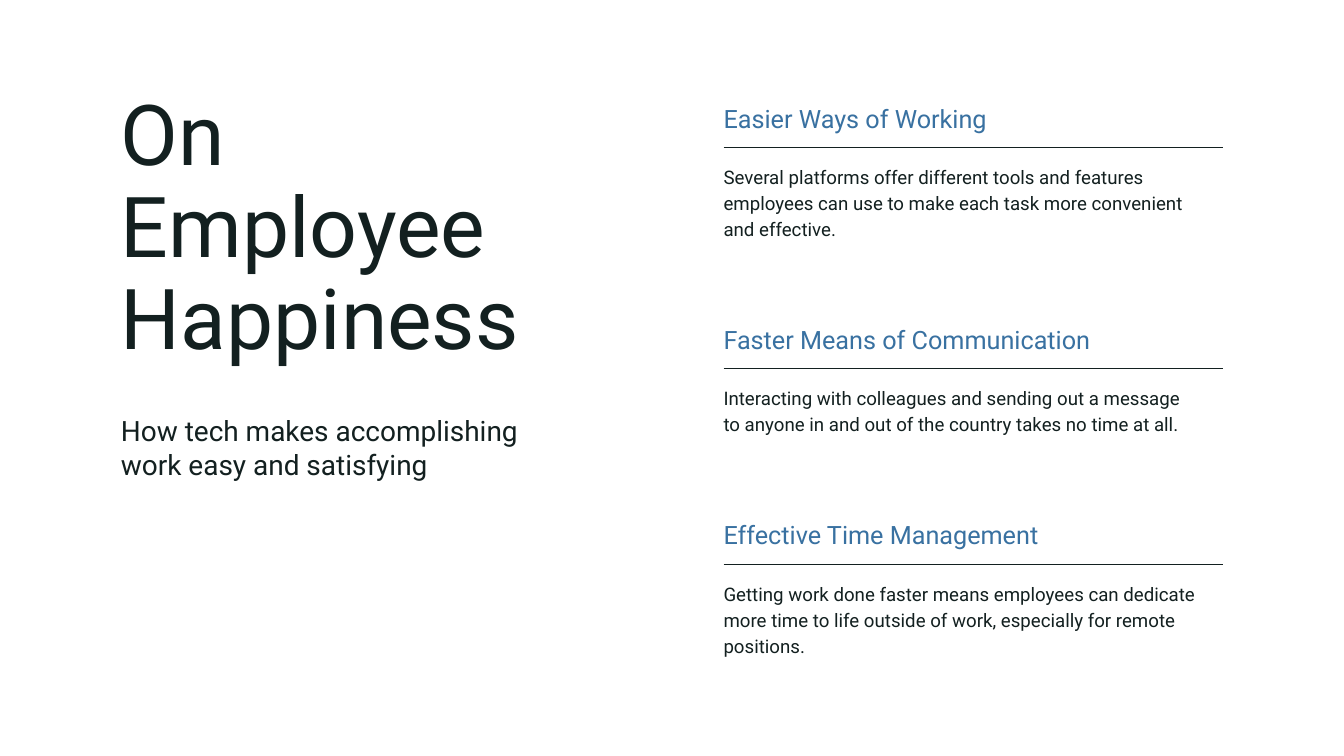
from dataclasses import dataclass

from lxml import etree
from pptx import Presentation
from pptx.dml.color import RGBColor
from pptx.enum import shapes, text
from pptx.oxml import ns
from pptx.util import Pt


@dataclass(frozen=True)
class Theme:
    font: str = "Roboto"
    ink: RGBColor = RGBColor(0x13, 0x20, 0x20)
    accent: RGBColor = RGBColor(0x39, 0x71, 0xA1)
    # type sizes, each with its line pitch
    title: tuple = (90, 99)
    subtitle: tuple = (30, 36)
    heading: tuple = (27, 37.8)
    body: tuple = (20, 28)
    rule_weight: float = 1


THEME = Theme()

TITLE_LEFT, TITLE_WIDTH = 129.6, 471
TOPICS_LEFT, TOPICS_WIDTH = 775.2, 535.5
RULE_OFFSET, BODY_OFFSET = 53.2, 68.8

# top, heading, body paragraphs
TOPICS = [
    (105.1, "Easier Ways of Working", [
        "Several platforms offer different tools and features "
        "employees can use to make each task more convenient",
        "and effective.",
    ]),
    (342, "Faster Means of Communication", [
        "Interacting with colleagues and sending out a message",
        "to anyone in and out of the country takes no time at all.",
    ]),
    (551.4, "Effective Time Management", [
        "Getting work done faster means employees can dedicate more time "
        "to life outside of work, especially for remote positions.",
    ]),
]


def set_values(target, values):
    for attribute, value in values.items():
        setattr(target, attribute, value)


def add_text(parent, box, paragraphs, type_size, color=THEME.ink):
    size, pitch = type_size
    frame = parent.add_textbox(*map(Pt, box)).text_frame
    set_values(frame, {
        "word_wrap": True,
        "auto_size": text.MSO_AUTO_SIZE.SHAPE_TO_FIT_TEXT,
        "margin_left": 0, "margin_top": 0,
        "margin_right": 0, "margin_bottom": 0,
        "text": "\n".join(paragraphs),
    })
    for paragraph in frame.paragraphs:
        paragraph.line_spacing = Pt(pitch)
        for run in paragraph.runs:
            set_values(run.font, {"name": THEME.font, "size": Pt(size)})
            run.font.color.rgb = color


def add_rule(parent, left, top, width):
    rule = parent.add_connector(
        shapes.MSO_CONNECTOR.STRAIGHT,
        Pt(left), Pt(top), Pt(left + width), Pt(top))
    rule.line.width = Pt(THEME.rule_weight)
    rule.line.color.rgb = THEME.ink
    etree.SubElement(rule.element.spPr, ns.qn("a:effectLst"))


def add_title_block(slide):
    block = slide.shapes.add_group_shape().shapes
    add_text(block, (TITLE_LEFT, 95.8, TITLE_WIDTH, 301.7),
             ["On Employee Happiness"], THEME.title)
    add_text(block, (TITLE_LEFT, 443.5, TITLE_WIDTH, 72),
             ["How tech makes accomplishing work easy and satisfying"],
             THEME.subtitle)


def add_topic(slide, top, heading, body):
    """Add a heading, the rule under it and the body text as one group."""
    topic = slide.shapes.add_group_shape().shapes
    add_text(topic, (TOPICS_LEFT, top, TOPICS_WIDTH, 34.6),
             [heading], THEME.heading, THEME.accent)
    body_height = 82 if heading != TOPICS[1][1] else 54
    add_text(topic, (TOPICS_LEFT, top + BODY_OFFSET, TOPICS_WIDTH, body_height),
             body, THEME.body)
    add_rule(topic, TOPICS_LEFT, top + RULE_OFFSET, TOPICS_WIDTH)


def main():
    deck = Presentation()
    set_values(deck, {"slide_width": Pt(1440), "slide_height": Pt(810)})
    slide = deck.slides.add_slide(deck.slide_layouts[6])
    add_title_block(slide)
    for topic in TOPICS:
        add_topic(slide, *topic)
    deck.save("out.pptx")


if __name__ == "__main__":
    main()
